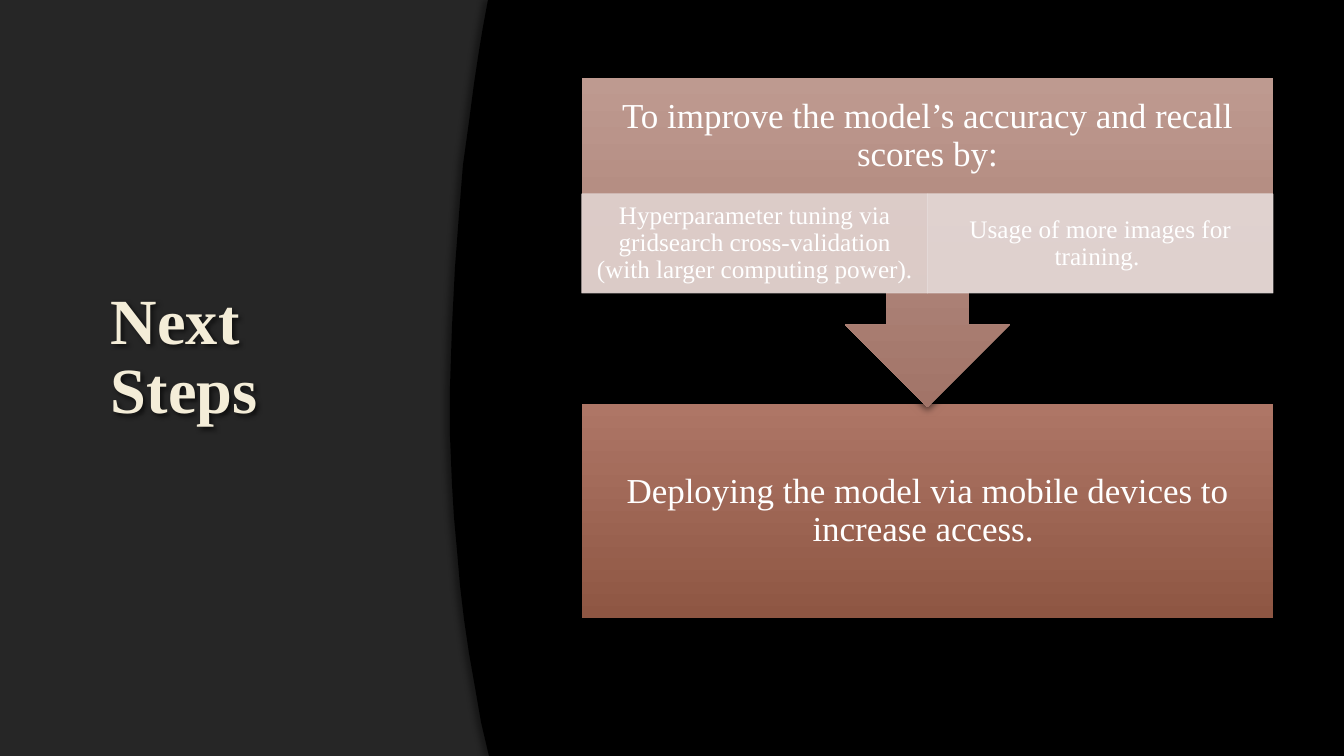
from lxml import etree
from pptx import Presentation
from pptx.dml.color import RGBColor
from pptx.enum.shapes import MSO_SHAPE
from pptx.enum.text import MSO_ANCHOR, PP_ALIGN
from pptx.oxml.ns import qn
from pptx.util import Pt

RECTANGLE = MSO_SHAPE.RECTANGLE
ARROW_CALLOUT = MSO_SHAPE.DOWN_ARROW_CALLOUT
LEFT, CENTER = PP_ALIGN.LEFT, PP_ALIGN.CENTER
MIDDLE = MSO_ANCHOR.MIDDLE

TITLE = "Next Steps"
IMPROVE = "To improve the model’s accuracy and recall scores by:"
METHODS = [
    ("Hyperparameter tuning via gridsearch cross-validation (with larger computing power).", "E1D3D0"),
    ("Usage of more images for training. ", "E5DAD8"),
]
DEPLOY = "Deploying the model via mobile devices to increase access. "

WIDTH, HEIGHT = 1344, 756
FONT = "Times New Roman"
WHITE, BLACK, PANEL, CREAM = "FFFFFF", "000000", "262626", "F4EDD8"
CALLOUT_COLORS = ("BE9A90", "A27468")
DEPLOY_COLORS = ("AE7666", "8E5643")
CURVE = [
    (488, 0), (483, 27), (479, 51), (474, 84), (469, 122), (463, 165), (459, 215),
    (455, 268), (452, 327), (450, 387), (450, 436), (452, 484), (454, 517), (457, 550),
    (460, 585), (464, 619), (469, 653), (475, 687), (481, 722), (489, 756),
]

FLOW_LEFT, FLOW_WIDTH = 582, 691
CALLOUT_TOP, CALLOUT_HEIGHT = 78, 329
HEADING_HEIGHT, METHOD_HEIGHT = 116, 99
DEPLOY_TOP, DEPLOY_HEIGHT = 404, 214


def px(length):
    return round(length * 914400 / 100.8)


def color(value):
    return RGBColor.from_string(value)


def set_shadow(shape, blur, distance, degrees, alpha):
    shape.shadow.inherit = False
    effects = shape._element.spPr.find(qn("a:effectLst"))
    shadow = etree.SubElement(
        effects, qn("a:outerShdw"), blurRad=str(Pt(blur)), dist=str(Pt(distance)),
        dir=str(degrees * 60000), algn="ctr", rotWithShape="0")
    tone = etree.SubElement(shadow, qn("a:srgbClr"), val=BLACK)
    etree.SubElement(tone, qn("a:alpha"), val=str(alpha * 1000))


def set_solid(fill, value, alpha=100):
    fill.solid()
    fill.fore_color.rgb = color(value)
    if alpha < 100:
        tone = fill._xPr.find(qn("a:solidFill"))[0]
        etree.SubElement(tone, qn("a:alpha"), val=str(alpha * 1000))


def set_gradient(shape, colors):
    shape.fill.gradient()
    shape.fill.gradient_angle = 270
    for stop, value in zip(shape.fill.gradient_stops, colors):
        stop.color.rgb = color(value)


def add_block(slide, kind, left, top, width, height):
    shape = slide.shapes.add_shape(kind, px(left), px(top), px(width), px(height))
    shape.shadow.inherit = False
    shape.line.fill.background()
    return shape


def add_text_box(slide, left, top, width, height):
    return slide.shapes.add_textbox(px(left), px(top), px(width), px(height))


def write(shape, text, size=25, value=WHITE, bold=False, align=CENTER, insets=(19, 19, 19, 19)):
    frame = shape.text_frame
    frame.word_wrap = True
    frame.vertical_anchor = MIDDLE
    frame.margin_left, frame.margin_top, frame.margin_right, frame.margin_bottom = map(px, insets)
    paragraph = frame.paragraphs[0]
    paragraph.alignment = align
    paragraph.line_spacing = 0.9
    run = paragraph.add_run()
    run.text = text
    run.font.name = FONT
    run.font.size = Pt(size)
    run.font.bold = bold
    run.font.color.rgb = color(value)


def add_backdrop(slide):
    set_solid(slide.background.fill, BLACK)
    set_solid(add_block(slide, RECTANGLE, 0, 0, WIDTH, HEIGHT).fill, PANEL)
    builder = slide.shapes.build_freeform(WIDTH, 0, scale=px(100) / 100)
    builder.add_line_segments(CURVE + [(WIDTH, HEIGHT)], close=True)
    curve = builder.convert_to_shape()
    set_solid(curve.fill, BLACK)
    curve.line.fill.background()
    set_shadow(curve, 4, 3, 180, 40)


def add_title(slide):
    title = add_text_box(slide, 101, 67, 308, 582)
    write(title, TITLE, size=46, value=CREAM, bold=True, align=LEFT, insets=(10, 5, 20, 5))
    set_shadow(title, 3, 2, 45, 60)


def add_flow(slide):
    deploy = add_block(slide, RECTANGLE, FLOW_LEFT, DEPLOY_TOP, FLOW_WIDTH, DEPLOY_HEIGHT)
    set_gradient(deploy, DEPLOY_COLORS)
    set_shadow(deploy, 5, 2, 90, 60)
    write(deploy, DEPLOY)

    callout = add_block(slide, ARROW_CALLOUT, FLOW_LEFT, CALLOUT_TOP, FLOW_WIDTH, CALLOUT_HEIGHT)
    set_gradient(callout, CALLOUT_COLORS)
    set_shadow(callout, 5, 2, 90, 60)
    write(add_text_box(slide, FLOW_LEFT, CALLOUT_TOP, FLOW_WIDTH, HEADING_HEIGHT), IMPROVE)

    method_width = FLOW_WIDTH / len(METHODS)
    for index, (text, value) in enumerate(METHODS):
        method = add_block(slide, RECTANGLE, FLOW_LEFT + index * method_width,
                           CALLOUT_TOP + HEADING_HEIGHT, method_width, METHOD_HEIGHT)
        set_solid(method.fill, value, alpha=90)
        set_solid(method.line.fill, value, alpha=90)
        method.line.width = Pt(0.75)
        write(method, text, size=18, insets=(14, 3, 14, 3))


def main():
    presentation = Presentation()
    presentation.slide_width, presentation.slide_height = px(WIDTH), px(HEIGHT)
    slide = presentation.slides.add_slide(presentation.slide_layouts[6])
    add_backdrop(slide)
    add_title(slide)
    add_flow(slide)
    presentation.save("out.pptx")


if __name__ == "__main__":
    main()
